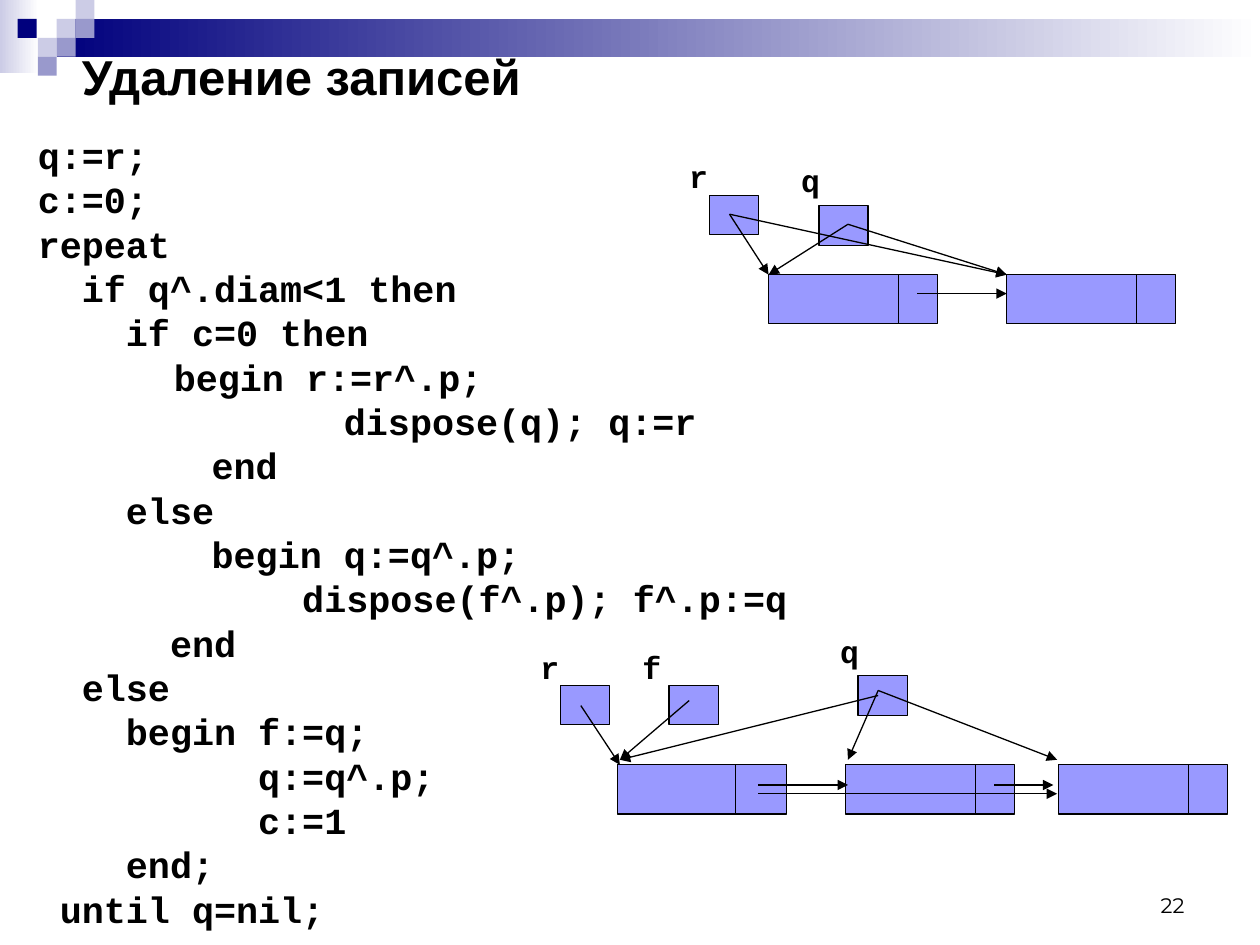
import pptx
import pptx.util
import pptx.dml.color
import pptx.enum.shapes
import pptx.enum.text
from lxml import etree

COLS, ROWS = 100, 75
BLACK, NODE = "000000", "9999FF"
NAVY, LILAC, VIOLET, WHITE = "00007D", "CCCCE6", "9999CC", "FFFFFF"
MONO = "Courier New"
CODE = """q:=r;
c:=0;
repeat
  if q^.diam<1 then
    if c=0 then
\t    begin r:=r^.p;
\t\t      dispose(q); q:=r
\t\tend
    else
\t\tbegin q:=q^.p;
            dispose(f^.p); f^.p:=q
      end
  else
    begin f:=q;
          q:=q^.p;
          c:=1
    end;
 until q=nil;"""


def rgb(value):
    return pptx.dml.color.RGBColor.from_string(value)


def sub(parent, tag, **attrs):
    name = pptx.oxml.ns.qn(tag)
    return etree.SubElement(parent, name, {k: str(v) for k, v in attrs.items()})


class Deck:
    """Style and current slide; lengths are columns and rows of the grid."""

    def __init__(self):
        self.prs = pptx.Presentation()
        self.prs.slide_width = pptx.util.Inches(10)
        self.prs.slide_height = pptx.util.Inches(7.5)
        self.s = self.prs.slides.add_slide(self.prs.slide_layouts[1])

    def grid(self, *values):
        """Turn alternating column and row values into lengths."""
        units = (self.prs.slide_width / COLS, self.prs.slide_height / ROWS)
        return [pptx.util.Emu(round(v * units[i % 2])) for i, v in enumerate(values)]

    def place(self, sp, *box):
        sp.left, sp.top, sp.width, sp.height = self.grid(*box)

    def font(self, p, size, name, bold=True):
        p.font.size, p.font.name, p.font.bold = pptx.util.Pt(size), name, bold
        p.font.color.rgb = rgb(BLACK)

    def title(self, text, *box):
        sp = self.s.shapes.title
        self.place(sp, *box)
        tf = sp.text_frame
        tf.text = text
        tf.auto_size = pptx.enum.text.MSO_AUTO_SIZE.NONE
        tf.vertical_anchor = pptx.enum.text.MSO_ANCHOR.MIDDLE
        tf.paragraphs[0].alignment = pptx.enum.text.PP_ALIGN.LEFT
        self.font(tf.paragraphs[0], 28, "Arial")

    def code(self, text, *box):
        sp = self.s.placeholders[1]
        self.place(sp, *box)
        tf = sp.text_frame
        tf.auto_size = pptx.enum.text.MSO_AUTO_SIZE.NONE
        indent = pptx.util.Inches(0.38)
        for i, line in enumerate(text.split("\n")):
            p = tf.add_paragraph() if i else tf.paragraphs[0]
            p.add_run().text = line
            pPr = p._p.get_or_add_pPr()
            pPr.set("marL", str(indent))
            pPr.set("indent", str(-indent))
            pPr.set("defTabSz", str(pptx.util.Inches(1)))
            sub(pPr, "a:buNone")
            tabs = sub(pPr, "a:tabLst")
            for inch in range(8):
                sub(tabs, "a:tab", pos=pptx.util.Inches(inch), algn="l")
            p.line_spacing = 0.8
            p.space_before = pptx.util.Pt(5.2 if i else 0)
            self.font(p, 21, MONO)

    def label(self, text, *box, size=18, name=MONO, bold=True):
        tf = self.s.shapes.add_textbox(*self.grid(*box)).text_frame
        tf.text = text
        tf.word_wrap = False
        self.font(tf.paragraphs[0], size, name, bold)
        return tf

    def number(self, text, *box):
        tf = self.label(text, *box, size=12, name="Montserrat", bold=False)
        tf.word_wrap = True
        tf.vertical_anchor = pptx.enum.text.MSO_ANCHOR.BOTTOM
        tf.paragraphs[0].alignment = pptx.enum.text.PP_ALIGN.RIGHT

    def rect(self, fill, *box, fade_to=None, outline=False):
        kind = pptx.enum.shapes.MSO_SHAPE.RECTANGLE
        sp = self.s.shapes.add_shape(kind, *self.grid(*box))
        sp.shadow.inherit = False
        if fade_to:
            sp.fill.gradient()
            sp.fill.gradient_angle = 0
            for stop, colour in zip(sp.fill.gradient_stops, (fill, fade_to)):
                stop.color.rgb = rgb(colour)
        else:
            sp.fill.solid()
            sp.fill.fore_color.rgb = rgb(fill)
        if outline:
            sp.line.color.rgb = rgb(BLACK)
            sp.line.width = pptx.util.Pt(0.75)
        else:
            sp.line.fill.background()

    def line(self, *ends, arrow=False):
        kind = pptx.enum.shapes.MSO_CONNECTOR.STRAIGHT
        c = self.s.shapes.add_connector(kind, *self.grid(*ends))
        c.line.color.rgb = rgb(BLACK)
        c.line.width = pptx.util.Pt(0.75)
        if arrow:
            sub(c.line._get_or_add_ln(), "a:tailEnd", type="triangle")
        sub(c._element.spPr, "a:effectLst")

    def pointer(self, name, x, y, label_x, label_y, height=3.1):
        self.rect(NODE, x, y, 3.9, height, outline=True)
        self.label(name, label_x, label_y, 3.5, 4)

    def record(self, x, y, link=10.3):
        """A list record whose last part holds the link."""
        self.rect(NODE, x, y, 13.4, 3.9, outline=True)
        self.line(x + link, y, x + link, y + 3.9)


def main():
    d = Deck()

    # Header band and mosaic of squares
    d.rect(LILAC, 0, 0, 3.1, 5.8, fade_to=WHITE)
    d.rect(NAVY, 4.5, 1.5, 95.5, 3, fade_to=WHITE)
    for colour, x, y in ((LILAC, 4.5, 1.5), (LILAC, 6, 0), (VIOLET, 6, 1.5),
                         (LILAC, 3, 3), (NAVY, 1.4, 1.5), (VIOLET, 4.5, 3),
                         (VIOLET, 3, 4.5)):
        d.rect(colour, x, y, 1.5, 1.5)

    # Title, code and slide number
    d.title("Удаление записей", 5.5, 3.6, 94.5, 4.8)
    d.code(CODE, 2, 10.7, 63, 67.4)
    d.number("22", 71.7, 68.3, 23.3, 5)

    # Upper list: removing the first record
    d.pointer("r", 56.3, 15.5, 53.7, 12)
    d.pointer("q", 65, 16.3, 62.6, 12.3, height=3.2)
    for x in (61, 79.9):
        d.record(x, 21.8)

    # Lower list: removing a later record
    d.pointer("r", 44.5, 54.4, 41.9, 50.9)
    d.pointer("f", 53.1, 54.4, 50, 50.9)
    d.pointer("q", 68.1, 53.6, 65.7, 49.7, height=3.2)
    d.record(49, 60.7, link=9.4)
    for x in (67.1, 84):
        d.record(x, 60.7)

    # Links of both lists
    for ends in ((57.9, 17, 61, 21.8), (57.9, 17, 79.9, 21.8),
                 (67.3, 17.8, 61, 21.8), (67.3, 17.8, 79.9, 21.8),
                 (72.8, 23.3, 79.9, 23.3),
                 (46.1, 56, 49.2, 60.7), (54.7, 55.6, 49.2, 60.3),
                 (69.7, 55.2, 49.2, 60.3), (69.7, 54.8, 67.3, 60.3),
                 (69.7, 54.8, 83.9, 60.3), (60.2, 62.3, 67.3, 62.3),
                 (60.2, 63, 83.9, 63), (78.9, 62.3, 83.6, 62.3)):
        d.line(*ends, arrow=True)

    d.prs.save("out.pptx")


if __name__ == "__main__":
    main()
